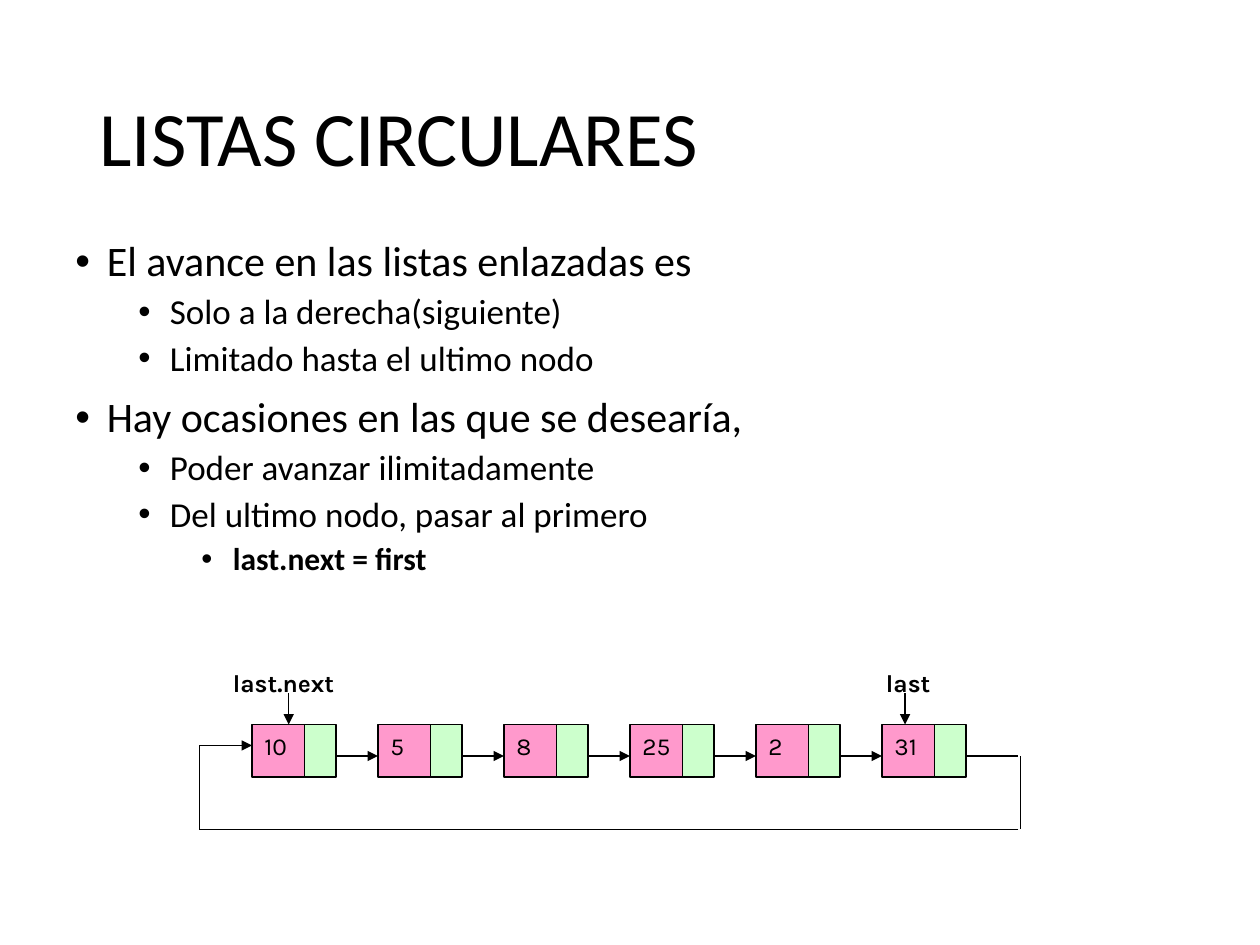
from lxml.etree import SubElement
from pptx import Presentation
from pptx.dml.color import RGBColor
from pptx.enum.shapes import MSO_CONNECTOR, MSO_SHAPE
from pptx.enum.text import MSO_ANCHOR, PP_ALIGN
from pptx.oxml.ns import qn
from pptx.util import Inches, Pt

COLORS = {"ink": "000000", "value": "FF99CC", "pointer": "CCFFCC"}
UNIT = Inches(1) / 12
BULLET_LEVELS = [
    {"size": 24, "space": 10, "indent": 0.25},
    {"size": 20, "space": 5, "indent": 0.75},
    {"size": 18, "space": 5, "indent": 1.25, "bold": True},
]
BULLETS = [
    (0, "El avance en las listas enlazadas es"),
    (1, "Solo a la derecha(siguiente)"),
    (1, "Limitado hasta el ultimo nodo"),
    (0, "Hay ocasiones en las que se desearía,"),
    (1, "Poder avanzar ilimitadamente"),
    (1, "Del ultimo nodo, pasar al primero"),
    (2, "last.next = first"),
]
NODE_VALUES = ["10", "5", "8", "25", "2", "31"]


def color(name):
    return RGBColor.from_string(COLORS[name])


def grid(*units):
    return [round(unit * UNIT) for unit in units]


def write(para, text, size=14, font="Karla", bold=False, space=0, line=1.0, indent=None):
    if indent is not None:
        properties = para._p.get_or_add_pPr()
        properties.set("marL", str(Inches(indent)))
        properties.set("indent", str(Inches(-0.25)))
        SubElement(properties, qn("a:buFont"), typeface="Arial")
        SubElement(properties, qn("a:buChar"), char="•")
    para.alignment = PP_ALIGN.LEFT
    para.line_spacing = line
    para.space_before = Pt(space)
    span = para.add_run()
    span.text = text
    span.font.size = Pt(size)
    span.font.name = font
    span.font.bold = bold
    span.font.color.rgb = color("ink")


def add_label(page, box, text, **style):
    frame = page.shapes.add_textbox(*grid(*box)).text_frame
    frame.word_wrap = True
    write(frame.paragraphs[0], text, **style)


def add_line(page, start, end, arrow=False):
    line = page.shapes.add_connector(MSO_CONNECTOR.STRAIGHT, *grid(*start, *end))
    line.line.color.rgb = color("ink")
    line.line.width = Pt(0.75)
    if arrow:
        SubElement(line.line._get_or_add_ln(), qn("a:tailEnd"), type="triangle")
    SubElement(line._element.spPr, qn("a:effectLst"))


def add_cell(page, box, fill):
    cell = page.shapes.add_shape(MSO_SHAPE.RECTANGLE, *grid(*box))
    cell.shadow.inherit = False
    cell.fill.solid()
    cell.fill.fore_color.rgb = color(fill)
    cell.line.color.rgb = color("ink")
    cell.line.width = Pt(0.75)


def add_title(page, box, text):
    title = page.shapes.title
    title.left, title.top, title.width, title.height = map(Inches, box)
    title.text_frame.vertical_anchor = MSO_ANCHOR.MIDDLE
    write(title.text_frame.paragraphs[0], text, size=44, font="Calibri", line=0.9)


def add_bullets(page, box, items):
    frame = page.shapes.add_textbox(*map(Inches, box)).text_frame
    frame.word_wrap = True
    for index, (level, text) in enumerate(items):
        para = frame.add_paragraph() if index else frame.paragraphs[0]
        para.level = level
        style = dict(BULLET_LEVELS[level])
        if index == 0:
            style["space"] = 0
        write(para, text, font="Calibri", line=0.9, **style)


def add_node(page, left, top, value):
    add_cell(page, (left, top, 5, 5), "value")
    add_cell(page, (left + 5, top, 3, 5), "pointer")
    add_label(page, (left, top, 6, 4), value)


def add_pointer(page, box, arrow_left, text):
    left, top, width, height = box
    add_label(page, box, text, bold=True)
    add_line(page, (arrow_left, top + 3), (arrow_left, top + 6), arrow=True)


def add_circular_list(page, box, values):
    left, top, width, height = box
    right, bottom = left + width, top + height
    first, link, entry = left + 5, top + 9, top + 8
    pitch = 12
    last = first + pitch * (len(values) - 1)

    for index, value in enumerate(values):
        node = first + pitch * index
        if node < last:
            add_line(page, (node + 8, link), (node + pitch, link), arrow=True)
        add_node(page, node, top + 6, value)

    add_line(page, (last + 8, link), (right, link))
    add_line(page, (right + 0.2, link), (right + 0.2, bottom))
    add_line(page, (right, bottom), (left, bottom))
    add_line(page, (left, bottom), (left, entry))
    add_line(page, (left, entry), (first, entry), arrow=True)
    add_pointer(page, (first - 3, top, 15, 4), first + 3.5, "last.next")
    add_pointer(page, (last - 0.8, top, 7, 4), last + 2.2, "last")


def main():
    deck = Presentation()
    deck.slide_width, deck.slide_height = Inches(10), Inches(7.5)
    page = deck.slides.add_slide(deck.slide_layouts[5])
    add_title(page, (0.69, 0.4, 8.63, 1.45), "LISTAS CIRCULARES")
    add_bullets(page, (0.5, 1.86, 9, 4.95), BULLETS)
    add_circular_list(page, (19, 63, 78, 16), NODE_VALUES)
    deck.save("out.pptx")


if __name__ == "__main__":
    main()
